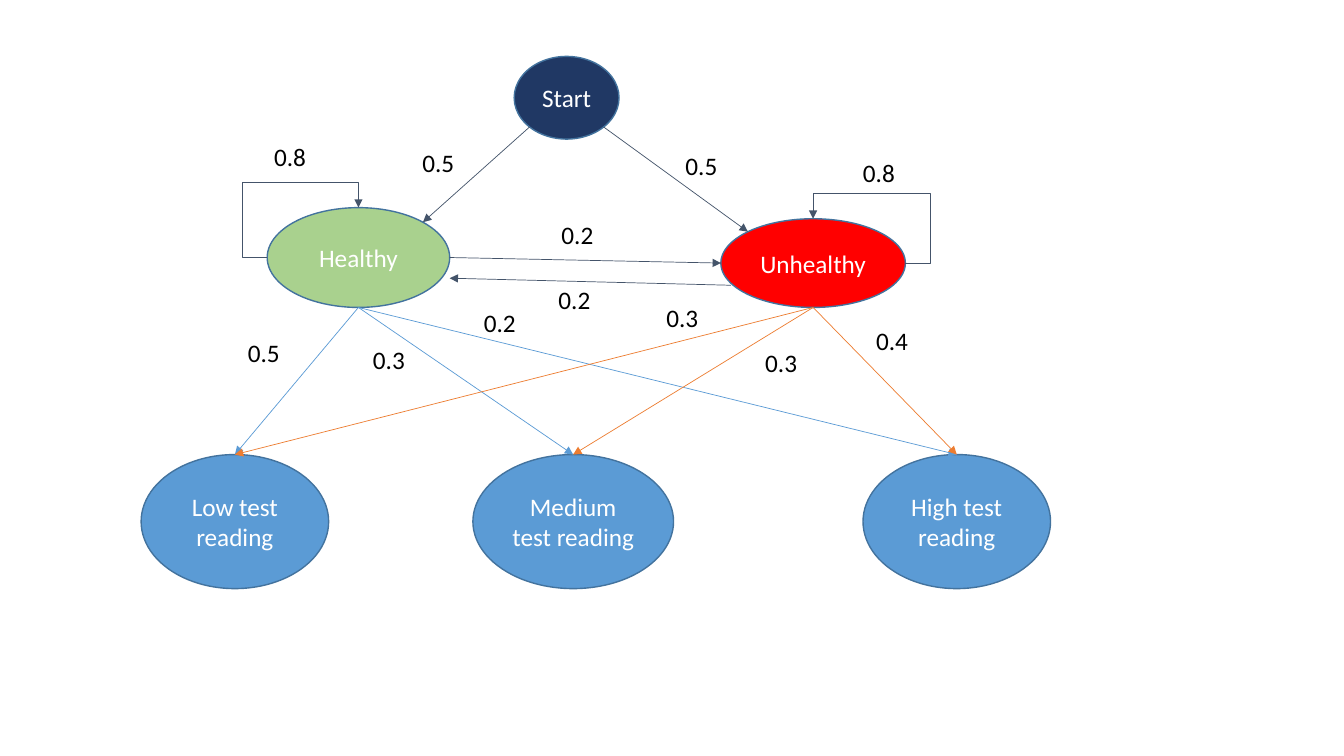
from math import cos, pi, sin

from lxml import etree
from pptx import Presentation
from pptx.dml.color import RGBColor
from pptx.enum.shapes import MSO_CONNECTOR, MSO_SHAPE
from pptx.enum.text import MSO_ANCHOR, PP_ALIGN
from pptx.oxml.ns import qn
from pptx.util import Inches, Pt

OVAL = MSO_SHAPE.OVAL
STRAIGHT, ELBOW = MSO_CONNECTOR.STRAIGHT, MSO_CONNECTOR.ELBOW
MIDDLE, CENTER, LEFT = MSO_ANCHOR.MIDDLE, PP_ALIGN.CENTER, PP_ALIGN.LEFT

FONT, TEXT_SIZE = "Calibri", 18
WHITE, BLACK, OUTLINE = "FFFFFF", "000000", "43739E"
SLATE, BLUE, ORANGE = "44546A", "5B9BD5", "ED7D31"
LOOP_REACH = 0.25
TOP, TOP_LEFT, LEFT_SIDE, BOTTOM_LEFT, BOTTOM, BOTTOM_RIGHT, RIGHT_SIDE, TOP_RIGHT = range(8)

NODES = {
    "Start": (5.1, 0.56, 1.04, 0.82, "203864"),
    "Healthy": (2.65, 2.06, 1.81, 0.99, "A9D18E"),
    "Unhealthy": (7.15, 2.17, 1.83, 0.88, "FF0000"),
    "Low test reading": (1.4, 4.51, 1.86, 1.33, BLUE),
    "Medium test reading": (4.69, 4.51, 1.99, 1.33, BLUE),
    "High test reading": (8.56, 4.51, 1.86, 1.33, BLUE),
}
READINGS = [name for name in NODES if name.endswith("reading")]
TRANSITIONS = [
    ("Start", BOTTOM_LEFT, "Healthy", TOP_RIGHT),
    ("Start", BOTTOM_RIGHT, "Unhealthy", TOP_LEFT),
    ("Healthy", RIGHT_SIDE, "Unhealthy", LEFT_SIDE),
]
RETURN_TRANSITION = ((7.25, 2.83), (4.46, 2.76))
SELF_LOOPS = [("Healthy", LEFT_SIDE), ("Unhealthy", RIGHT_SIDE)]
EMISSIONS = [("Healthy", BLUE), ("Unhealthy", ORANGE)]
PROBABILITIES = [
    ("0.5", 6.7, 1.44), ("0.5", 4.09, 1.41), ("0.8", 2.62, 1.35),
    ("0.2", 5.47, 2.13), ("0.2", 5.44, 2.77), ("0.8", 8.46, 1.51),
    ("0.5", 2.36, 3.3), ("0.3", 3.6, 3.37), ("0.2", 4.7, 3.0),
    ("0.3", 6.51, 2.95), ("0.3", 7.49, 3.4), ("0.4", 8.59, 3.18),
]


def color(hex_value):
    """Turn a hex string into a colour."""
    return RGBColor.from_string(hex_value)


def write(shape, text, text_color, alignment):
    """Put one styled run into a shape."""
    paragraph = shape.text_frame.paragraphs[0]
    paragraph.alignment = alignment
    run = paragraph.add_run()
    run.text = text
    run.font.name, run.font.size = FONT, Pt(TEXT_SIZE)
    run.font.color.rgb = color(text_color)


def add_node(slide, name):
    """Draw one state or reading as an ellipse."""
    left, top, width, height, fill = NODES[name]
    shape = slide.shapes.add_shape(OVAL, *map(Inches, (left, top, width, height)))
    shape.shadow.inherit = False
    shape.fill.solid()
    shape.fill.fore_color.rgb = color(fill)
    shape.line.color.rgb = color(OUTLINE)
    shape.line.width = Pt(1)
    shape.text_frame.word_wrap = True
    shape.text_frame.vertical_anchor = MIDDLE
    write(shape, name, WHITE, CENTER)
    return shape


def site_point(name, site):
    """Locate a connection site, counted anticlockwise from the top."""
    left, top, width, height, _ = NODES[name]
    angle = site * pi / 4
    return left + width / 2 * (1 - sin(angle)), top + height / 2 * (1 - cos(angle))


def add_arrow(slide, start, end, line_color, kind=STRAIGHT):
    """Draw a thin line with an arrowhead at its end."""
    connector = slide.shapes.add_connector(kind, *map(Inches, (*start, *end)))
    connector.line.color.rgb = color(line_color)
    connector.line.width = Pt(0.5)
    properties = connector._element.spPr
    etree.SubElement(properties.find(qn("a:ln")), qn("a:tailEnd"), type="triangle")
    etree.SubElement(properties, qn("a:effectLst"))
    return connector


def link(slide, shapes, source, source_site, target, target_site, line_color):
    """Join two nodes with an arrow glued to their sites."""
    connector = add_arrow(slide, site_point(source, source_site),
                          site_point(target, target_site), line_color)
    glue = connector._element.find(".//" + qn("p:cNvCxnSpPr"))
    for tag, name, site in (("a:stCxn", source, source_site), ("a:endCxn", target, target_site)):
        etree.SubElement(glue, qn(tag), id=str(shapes[name].shape_id), idx=str(site))


def add_self_loop(slide, name, site):
    """Draw an elbow arrow from a side of a node back to its top."""
    _, _, width, height, _ = NODES[name]
    connector = add_arrow(slide, site_point(name, site), site_point(name, TOP), SLATE, ELBOW)
    geometry = connector._element.spPr.find(qn("a:prstGeom"))
    geometry.set("prst", "bentConnector4")
    adjustments = geometry.find(qn("a:avLst"))
    ratios = (-LOOP_REACH / (width / 2), 1 + LOOP_REACH / (height / 2))
    for number, ratio in enumerate(ratios, 1):
        etree.SubElement(adjustments, qn("a:gd"), name=f"adj{number}",
                         fmla=f"val {round(ratio * 100000)}")


def add_probability(slide, text, left, top):
    """Write one probability beside its arrow."""
    box = slide.shapes.add_textbox(*map(Inches, (left, top, 0.52, 0.4)))
    box.text_frame.word_wrap = False
    write(box, text, BLACK, LEFT)


def main():
    """Build the state diagram and save it."""
    presentation = Presentation()
    presentation.slide_width, presentation.slide_height = Inches(13.33), Inches(7.5)
    slide = presentation.slides.add_slide(presentation.slide_layouts[6])
    shapes = {name: add_node(slide, name) for name in NODES}
    for transition in TRANSITIONS:
        link(slide, shapes, *transition, SLATE)
    add_arrow(slide, *RETURN_TRANSITION, SLATE)
    for loop in SELF_LOOPS:
        add_self_loop(slide, *loop)
    for state, line_color in EMISSIONS:
        for reading in READINGS:
            link(slide, shapes, state, BOTTOM, reading, TOP, line_color)
    for probability in PROBABILITIES:
        add_probability(slide, *probability)
    presentation.save("out.pptx")


main()
